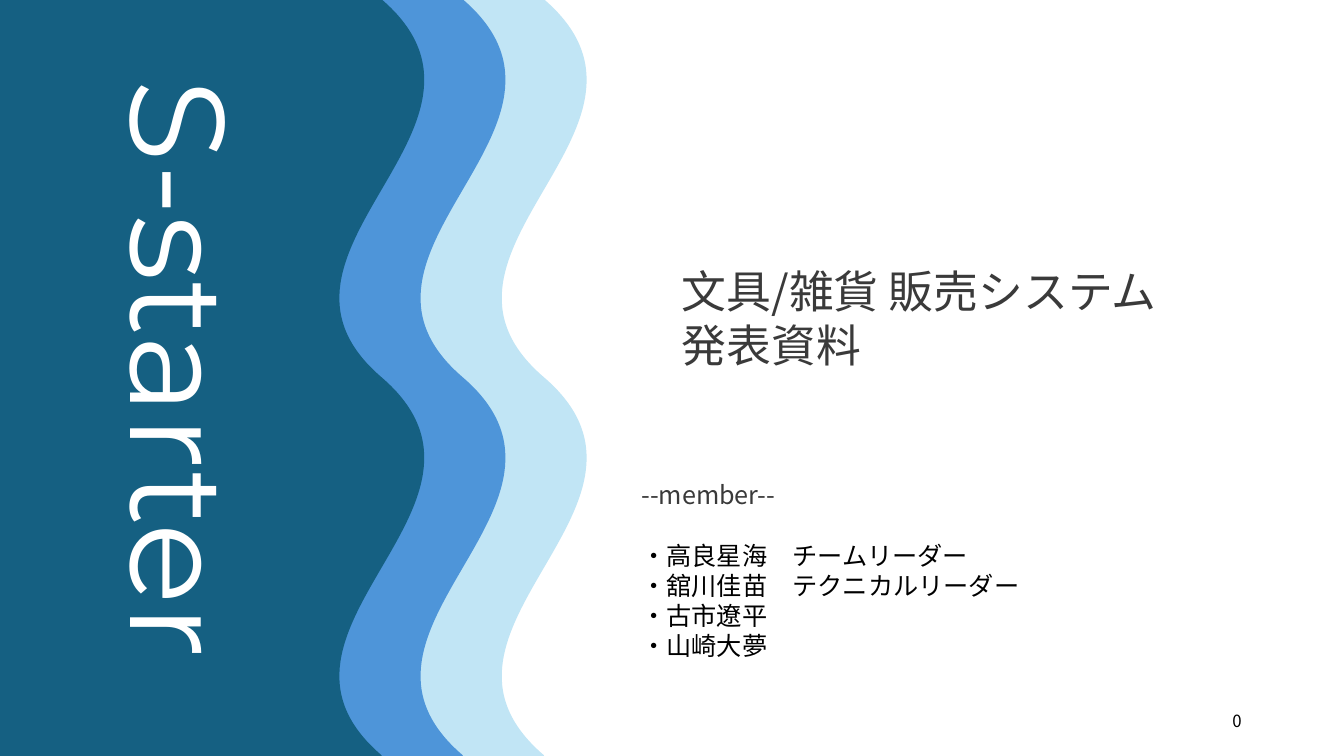
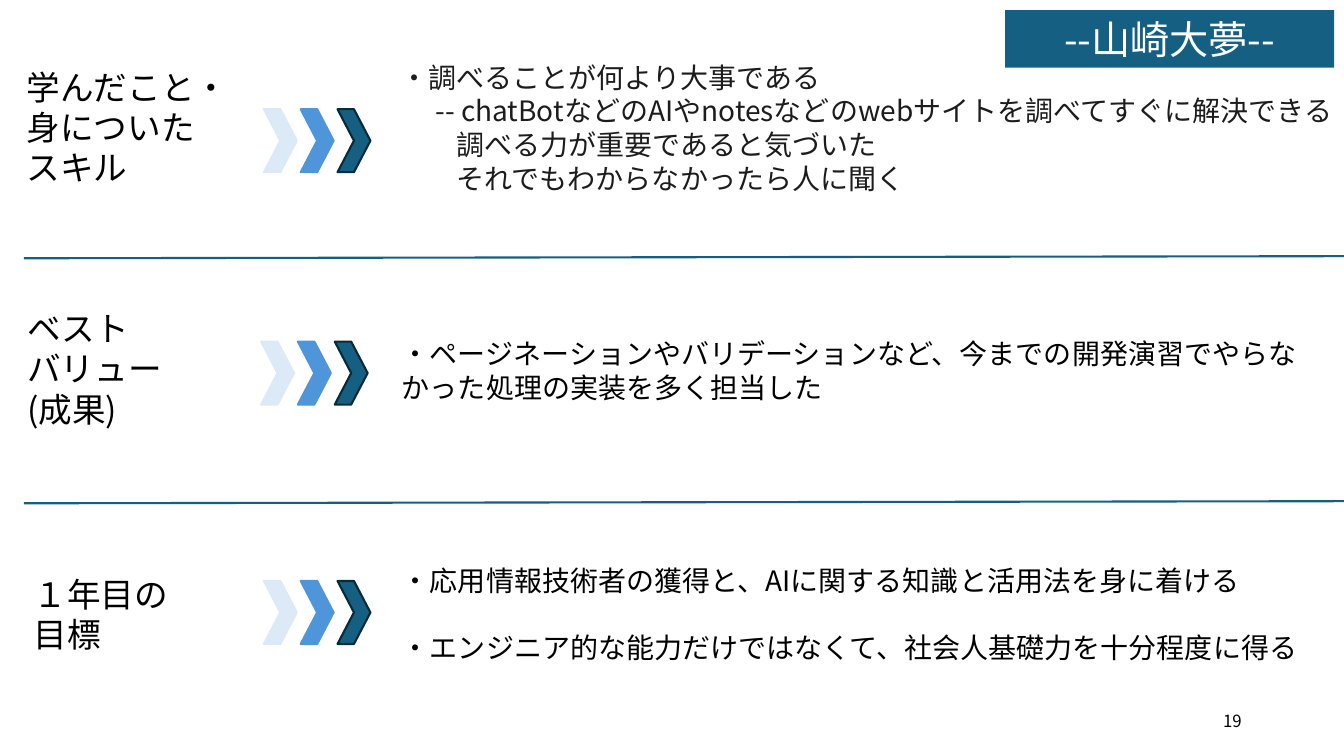
from dataclasses import dataclass

from lxml.etree import SubElement
from pptx import Presentation
from pptx.dml.color import RGBColor
from pptx.enum.shapes import MSO_CONNECTOR, MSO_SHAPE
from pptx.enum.text import MSO_ANCHOR, PP_ALIGN
from pptx.oxml.ns import qn
from pptx.shapes.base import BaseShape
from pptx.slide import Slide
from pptx.text.text import TextFrame
from pptx.util import Pt


@dataclass(frozen=True)
class Theme:
    """Colours, fonts and type sizes shared by the slides."""

    deep: str = "156082"
    outline: str = "092A39"
    mid: str = "4E95D9"
    sky: str = "C1E5F5"
    pale: str = "DCEAF7"
    white: str = "FFFFFF"
    black: str = "000000"
    grey: str = "3A3A3A"
    ink: str = "1D1C1D"
    text_font: str = "Noto Sans CJK JP"
    brand_font: str = "Montserrat"
    brand_size: float = 96
    title_size: float = 32
    name_size: float = 28
    label_size: float = 24
    body_size: float = 20
    member_size: float = 18
    number_size: float = 12
    leading: float = 1.2
    stroke: float = 1.5


THEME = Theme()


@dataclass(frozen=True)
class Box:
    """Position and size in points."""

    left: float
    top: float
    width: float
    height: float


@dataclass(frozen=True)
class Style:
    """Look of a block of text."""

    size: float
    color: str = THEME.black
    font: str = THEME.text_font
    align: PP_ALIGN = PP_ALIGN.LEFT


@dataclass(frozen=True)
class Line:
    """One paragraph with its indents and the gap above it."""

    text: str
    margin: float = 0
    indent: float = 0
    before: float = 0
    color: str | None = None


@dataclass(frozen=True)
class Topic:
    """A label, its arrows and its explanation."""

    label: list[Line]
    label_box: Box
    arrow_left: float
    arrow_top: float
    points: list[Line]
    points_box: Box
    color: str = THEME.black


WAVE_EDGE, WAVE_CREST, WAVE_SWING = 388, 30, 105
WAVE_PERIOD = 270
WAVE_SHIFT = 58
WAVES = [THEME.sky, THEME.mid, THEME.deep]
ARROW_WIDTH, ARROW_HEIGHT, ARROW_PITCH = 23.5, 45, 26.3
ARROWS = [(THEME.pale, THEME.pale), (THEME.mid, THEME.mid), (THEME.deep, THEME.outline)]
DIVIDERS = [184.5, 359.5]
MEMBERS = [
    Line("--member--", color=THEME.grey),
    Line("・高良星海　チームリーダー", before=21.5),
    Line("・舘川佳苗　テクニカルリーダー"),
    Line("・古市遼平"),
    Line("・山崎大夢"),
]
TOPICS = [
    Topic(
        [Line("学んだこと・"), Line("身についた"), Line("スキル")],
        Box(12, 44, 203, 94), 188.5, 78,
        [
            Line("・調べることが何より大事である"),
            Line("-- chatBotなどのAIやnotesなどのwebサイトを調べてすぐに解決できる", indent=25),
            Line("調べる力が重要であると気づいた", margin=40),
            Line("それでもわからなかったら人に聞く", margin=40),
        ],
        Box(279, 39.5, 681, 124), THEME.ink,
    ),
    Topic(
        [Line("ベスト"), Line("バリュー(成果)")],
        Box(12.5, 216.5, 130, 94), 186.5, 244,
        [Line("・ページネーションやバリデーションなど、今までの開発演習でやらなかった処理の実装を多く担当した")],
        Box(280, 237, 680, 55.5),
    ),
    Topic(
        [Line("１年目の目標")],
        Box(17, 406.5, 130, 65.5), 188.5, 415,
        [
            Line("・応用情報技術者の獲得と、AIに関する知識と活用法を身に着ける"),
            Line("・エンジニア的な能力だけではなくて、社会人基礎力を十分程度に得る", before=24),
        ],
        Box(280, 399, 680, 80),
    ),
]


def rgb(color: str) -> RGBColor:
    """Turn a hex colour into a colour object."""
    return RGBColor.from_string(color)


def bounds(box: Box) -> tuple[Pt, Pt, Pt, Pt]:
    """Give a box as four lengths."""
    return Pt(box.left), Pt(box.top), Pt(box.width), Pt(box.height)


def paint(shape: BaseShape, fill: str | None, line: str | None, width: float = THEME.stroke) -> None:
    """Set fill and outline and remove the shadow."""
    shape.shadow.inherit = False
    if fill:
        shape.fill.solid()
        shape.fill.fore_color.rgb = rgb(fill)
    else:
        shape.fill.background()
    if line:
        shape.line.color.rgb = rgb(line)
        shape.line.width = Pt(width)
    else:
        shape.line.fill.background()


def write(frame: TextFrame, lines: list[Line], style: Style) -> None:
    """Fill a text frame with styled paragraphs."""
    frame.word_wrap = True
    frame.vertical_anchor = MSO_ANCHOR.TOP
    for index, line in enumerate(lines):
        paragraph = frame.paragraphs[0] if index == 0 else frame.add_paragraph()
        paragraph.text = line.text
        paragraph.alignment = style.align
        paragraph.line_spacing = Pt(style.size * THEME.leading)
        paragraph.space_before = Pt(line.before)
        paragraph.font.size = Pt(style.size)
        paragraph.font.color.rgb = rgb(line.color or style.color)
        paragraph.font.name = style.font
        properties = paragraph._p.get_or_add_pPr()
        properties.set("marL", str(Pt(line.margin)))
        properties.set("indent", str(Pt(line.indent)))
        east_asian = SubElement(properties.find(qn("a:defRPr")), qn("a:ea"))
        east_asian.set("typeface", style.font)


def add_text(slide: Slide, box: Box, lines: list[Line], style: Style) -> TextFrame:
    """Add a text box."""
    frame = slide.shapes.add_textbox(*bounds(box)).text_frame
    write(frame, lines, style)
    return frame


def add_panel(slide: Slide, box: Box, lines: list[Line], style: Style,
              fill: str | None = None, line: str | None = None) -> None:
    """Add a rectangle that holds text."""
    panel = slide.shapes.add_shape(MSO_SHAPE.RECTANGLE, *bounds(box))
    paint(panel, fill, line, 0.75)
    write(panel.text_frame, lines, style)


def add_number(slide: Slide, number: str) -> None:
    """Add the page number at the lower right."""
    style = Style(THEME.number_size, align=PP_ALIGN.RIGHT)
    frame = add_text(slide, Box(678, 500.5, 216, 29), [Line(number)], style)
    frame.vertical_anchor = MSO_ANCHOR.MIDDLE


def add_wave(slide: Slide, left: float, color: str) -> None:
    """Add a band whose right edge is two Bézier waves."""
    bottom = 2 * WAVE_PERIOD
    corners = [(WAVE_EDGE, 0), (WAVE_EDGE, WAVE_PERIOD), (WAVE_EDGE, bottom), (0, bottom)]
    builder = slide.shapes.build_freeform(0, 0)
    builder.add_line_segments([(Pt(x), Pt(y)) for x, y in corners], close=True)
    wave = builder.convert_to_shape(Pt(left), 0)
    outline = next(wave._element.iter(qn("a:path")))
    edges = outline.findall(qn("a:lnTo"))[1:3]
    for index, edge in enumerate(edges):
        start = index * WAVE_PERIOD
        edge.tag = qn("a:cubicBezTo")
        for place, swing in enumerate((WAVE_SWING, -WAVE_SWING)):
            handle = SubElement(edge, qn("a:pt"))
            handle.set("x", str(Pt(WAVE_EDGE + swing)))
            handle.set("y", str(Pt(start + (place + 1) * WAVE_PERIOD / 3)))
        edge.append(edge[0])
    wave.width = Pt(WAVE_EDGE + WAVE_CREST)
    outline.set("w", str(wave.width))
    paint(wave, color, color)


def add_arrows(slide: Slide, left: float, top: float) -> None:
    """Add a group of chevrons that darken to the right."""
    group = slide.shapes.add_group_shape()
    for index, (fill, line) in enumerate(ARROWS):
        box = Box(left + index * ARROW_PITCH, top, ARROW_WIDTH, ARROW_HEIGHT)
        paint(group.shapes.add_shape(MSO_SHAPE.CHEVRON, *bounds(box)), fill, line)


def add_divider(slide: Slide, top: float) -> None:
    """Add a thin, slightly rising rule."""
    rule = slide.shapes.add_connector(
        MSO_CONNECTOR.STRAIGHT, Pt(17), Pt(top), Pt(960), Pt(top - 1.5))
    rule.line.color.rgb = rgb(THEME.deep)
    rule.line.width = Pt(THEME.stroke)
    SubElement(rule._element.spPr, qn("a:effectLst"))


def build_cover(slide: Slide) -> None:
    """Draw the cover with waves, title and members."""
    for index, color in enumerate(WAVES):
        add_wave(slide, -index * WAVE_SHIFT, color)
    brand = add_text(slide, Box(62, 49.5, 131, 506), [Line("S-starter")],
                     Style(THEME.brand_size, THEME.white, THEME.brand_font))
    brand._txBody.bodyPr.set("vert", "eaVert")
    add_text(slide, Box(451, 339, 395, 138), MEMBERS, Style(THEME.member_size))
    add_text(slide, Box(480, 185, 465, 85),
             [Line("文具/雑貨 販売システム"), Line("発表資料")],
             Style(THEME.title_size, THEME.grey))
    add_number(slide, "0")


def build_review(slide: Slide) -> None:
    """Draw one member's review in three topics."""
    for topic in TOPICS:
        add_panel(slide, topic.points_box, topic.points,
                  Style(THEME.body_size, topic.color), line=THEME.white)
    for topic in TOPICS:
        add_arrows(slide, topic.arrow_left, topic.arrow_top)
    for top in DIVIDERS:
        add_divider(slide, top)
    for topic in TOPICS:
        add_text(slide, topic.label_box, topic.label, Style(THEME.label_size))
    add_number(slide, "19")
    add_panel(slide, Box(718, 7.2, 235, 41.2), [Line("--山崎大夢--")],
              Style(THEME.name_size, THEME.white, align=PP_ALIGN.CENTER), fill=THEME.deep)


def main() -> None:
    """Build and save the presentation."""
    presentation = Presentation()
    presentation.slide_width, presentation.slide_height = Pt(960), Pt(540)
    for build in (build_cover, build_review):
        build(presentation.slides.add_slide(presentation.slide_layouts[6]))
    presentation.save("out.pptx")


if __name__ == "__main__":
    main()
